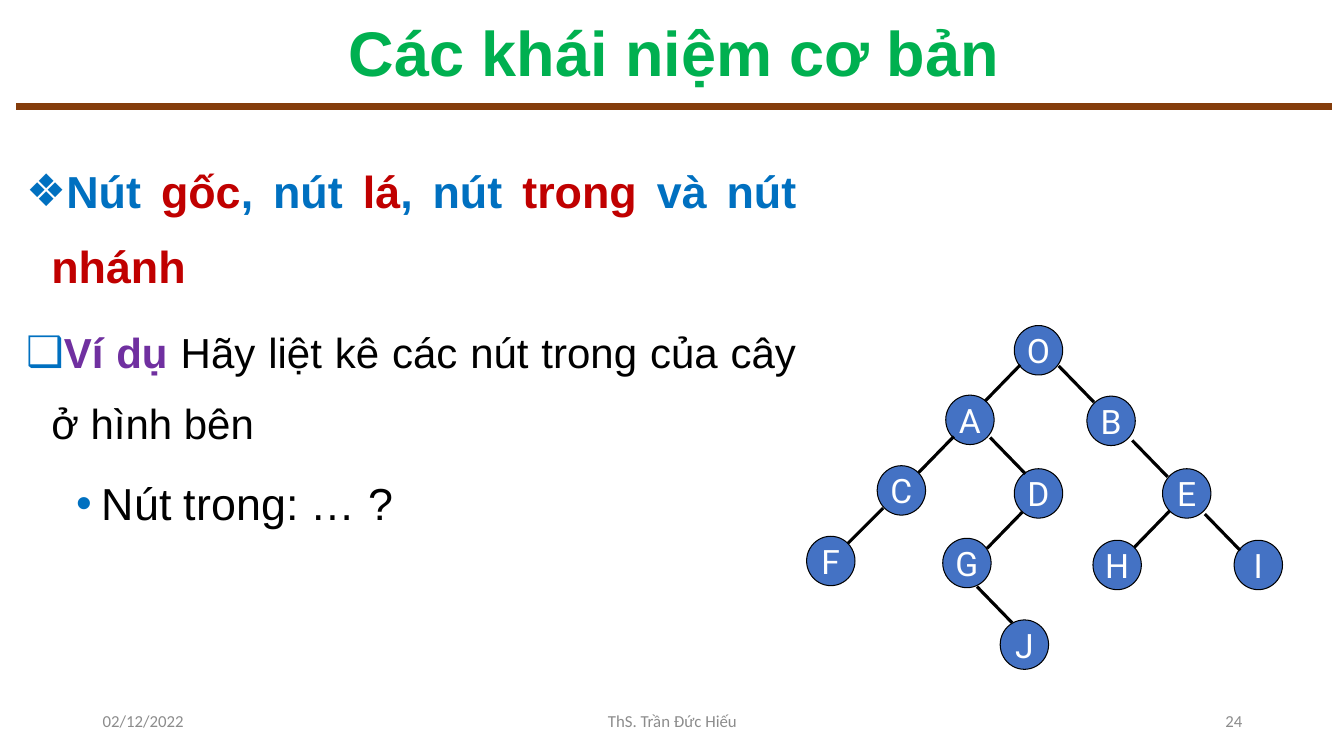
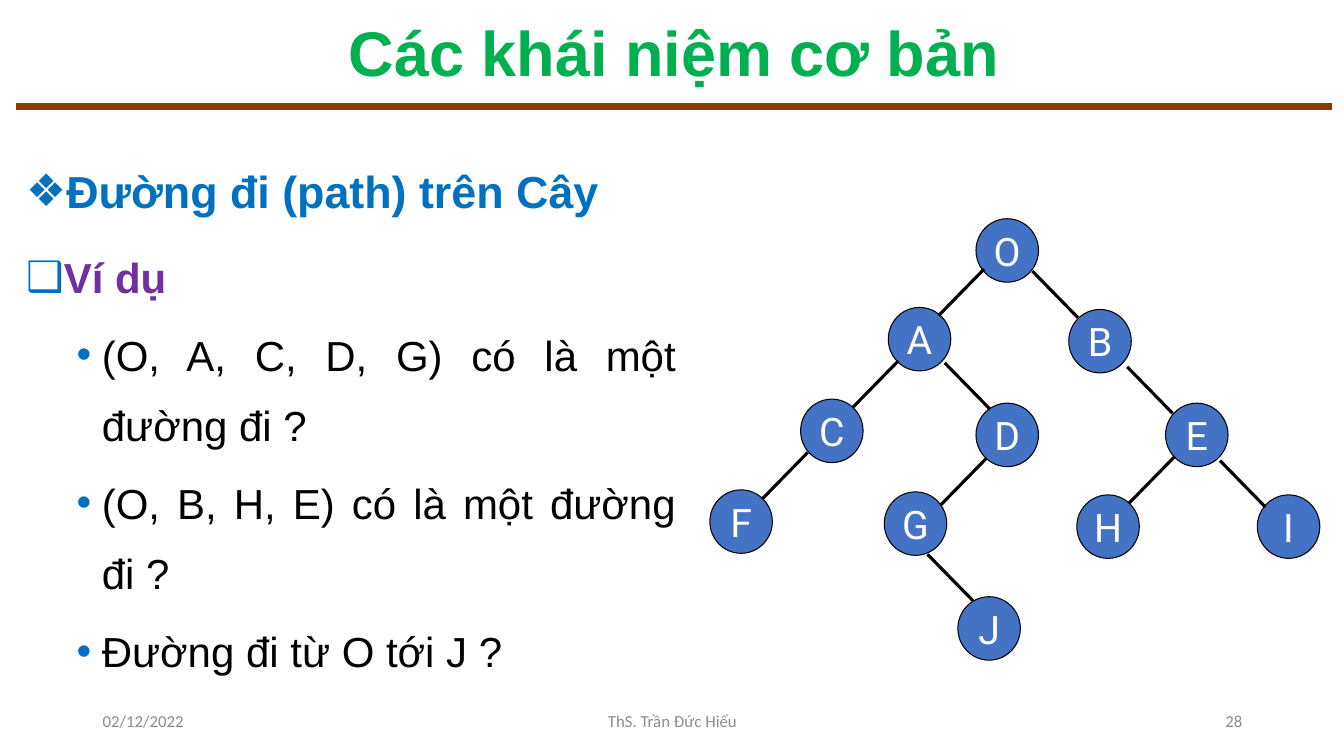
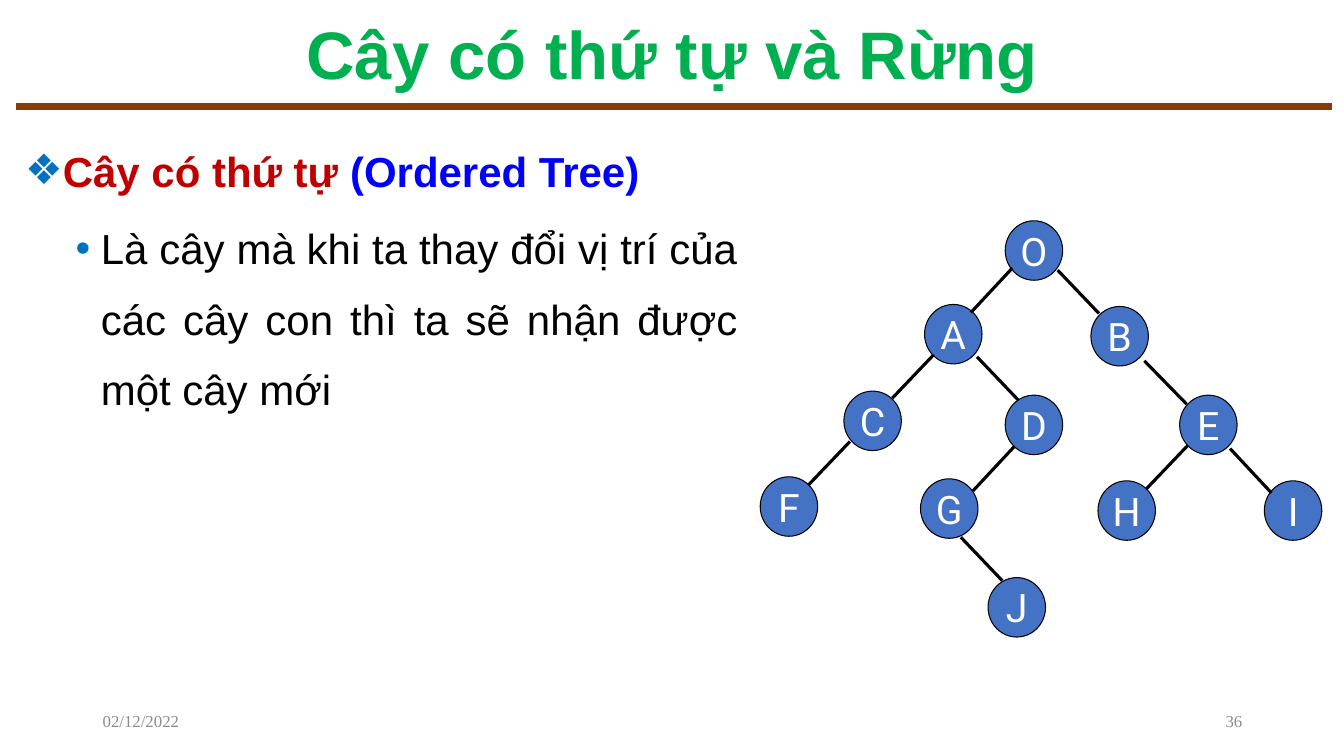
from lxml.etree import SubElement
from pptx import Presentation
from pptx.dml.color import RGBColor
from pptx.enum.shapes import MSO_CONNECTOR, MSO_SHAPE
from pptx.enum.text import MSO_ANCHOR, MSO_AUTO_SIZE, PP_ALIGN
from pptx.oxml.ns import qn
from pptx.util import Pt

PX = 9144
COLOURS = {
    "title": "00B050", "rule": "843C0B", "blue": "0070C0", "red": "C00000",
    "purple": "7030A0", "english": "0000FF", "black": "000000",
    "footer": "8C8C8C", "node": "4472C4", "white": "FFFFFF",
}
BULLETS = {
    "heading": {"char": "❖", "margin": 25, "level": 0, "before": 10},
    "example": {"char": "❑", "margin": 25, "level": 1, "before": 10},
    "item": {"char": "•", "margin": 75, "level": 1, "before": 5},
}
TREE_SIZE = (605, 438)
NODE_SIZE = (62, 63)
EDGE_SIZE = (45, 46)
NODES = {
    "O": (264, 0), "A": (177, 88), "B": (356, 90), "C": (90, 179),
    "D": (264, 183), "E": (452, 183), "F": (0, 269), "G": (173, 271),
    "H": (364, 274), "I": (543, 274), "J": (246, 375),
}
LEFT_EDGES = [(272, 50), (187, 141), (97, 232), (274, 238), (461, 236)]
RIGHT_EDGES = [(320, 52), (414, 147), (506, 240), (216, 333), (233, 143)]


def px(*lengths):
    return [round(length) * PX for length in lengths]


def rgb(name):
    return RGBColor.from_string(COLOURS[name])


def write(paragraph, text, *, size, colour, font="Arial", bold=False, align=None):
    run = paragraph.add_run()
    run.text = text
    run.font.name = font
    run.font.size = Pt(size)
    run.font.bold = bold
    run.font.color.rgb = rgb(colour)
    if align is not None:
        paragraph.alignment = align


class Deck:
    """Holds the shared style and the slide being built."""

    def __init__(self):
        self.presentation = Presentation()
        self.presentation.slide_width, self.presentation.slide_height = px(1333, 750)
        self.layout = self.presentation.slide_layouts[1]
        self.slide = None

    def start(self, title, box=(16, 15, 1305, 81), size=45):
        self.slide = self.presentation.slides.add_slide(self.layout)
        if len(self.presentation.slides) == 1:
            rule = self.line(self.slide.shapes, (16, 106), (1321, 106), "rule", 5)
            self.layout.shapes.element.append(rule.element)
        frame = self.place(self.slide.shapes.title, box, MSO_ANCHOR.MIDDLE)
        heading = frame.paragraphs[0]
        heading.line_spacing = 0.9
        write(heading, title, size=size, colour="title", bold=True, align=PP_ALIGN.CENTER)

    def place(self, holder, box, anchor):
        holder.left, holder.top, holder.width, holder.height = px(*box)
        frame = holder.text_frame
        frame.word_wrap = True
        frame.auto_size = MSO_AUTO_SIZE.NONE
        frame.vertical_anchor = anchor
        return frame

    def body(self, box, points):
        frame = self.place(self.slide.placeholders[1], box, MSO_ANCHOR.TOP)
        for index, (kind, size, runs) in enumerate(points):
            point = frame.add_paragraph() if index else frame.paragraphs[0]
            self.bullet(point, BULLETS[kind])
            point.line_spacing = 1.4
            point.space_before = Pt(BULLETS[kind]["before"] if index else 0)
            for text, colour in runs:
                write(point, text, size=size, colour=colour,
                      bold=colour != "black", align=PP_ALIGN.JUSTIFY)

    def bullet(self, point, style):
        point.level = style["level"]
        properties = point._p.get_or_add_pPr()
        margin, indent = px(style["margin"], -25)
        properties.set("marL", str(margin))
        properties.set("indent", str(indent))
        colour = SubElement(properties, qn("a:buClr"))
        SubElement(colour, qn("a:srgbClr"), val=COLOURS["blue"])
        SubElement(properties, qn("a:buFont"), typeface="Arial")
        SubElement(properties, qn("a:buChar"), char=style["char"])

    def footer(self, number, author=None, font="Calibri"):
        parts = [
            ("02/12/2022", 92, 300, PP_ALIGN.LEFT),
            (author, 442, 450, PP_ALIGN.CENTER),
            (number, 942, 300, PP_ALIGN.RIGHT),
        ]
        for text, left, width, align in parts:
            if text:
                box = (left, 695, width, 40)
                holder = self.slide.shapes.add_textbox(*px(*box))
                frame = self.place(holder, box, MSO_ANCHOR.MIDDLE)
                write(frame.paragraphs[0], text, size=12, colour="footer",
                      font=font, align=align)

    def line(self, shapes, start, end, colour, weight):
        line = shapes.add_connector(MSO_CONNECTOR.STRAIGHT, *px(*start, *end))
        line.line.color.rgb = rgb(colour)
        line.line.width = Pt(weight)
        SubElement(line.element.spPr, qn("a:effectLst"))
        return line

    def node(self, shapes, label, box, size):
        circle = shapes.add_shape(MSO_SHAPE.OVAL, *px(*box))
        circle.shadow.inherit = False
        circle.fill.solid()
        circle.fill.fore_color.rgb = rgb("node")
        circle.line.color.rgb = rgb("black")
        circle.line.width = Pt(0.75)
        frame = circle.text_frame
        frame.word_wrap = False
        frame.vertical_anchor = MSO_ANCHOR.MIDDLE
        write(frame.paragraphs[0], label, size=size, colour="white",
              font="Roboto", align=PP_ALIGN.CENTER)

    def tree(self, left, top, width, height, size=28):
        across, down = width / TREE_SIZE[0], height / TREE_SIZE[1]
        shapes = self.slide.shapes.add_group_shape().shapes

        def spot(x, y):
            return left + x * across, top + y * down

        for label, corner in NODES.items():
            diameters = (NODE_SIZE[0] * across, NODE_SIZE[1] * down)
            self.node(shapes, label, (*spot(*corner), *diameters), size)
        for side, starts in ((-1, LEFT_EDGES), (1, RIGHT_EDGES)):
            for x, y in starts:
                end = spot(x + side * EDGE_SIZE[0], y + EDGE_SIZE[1])
                self.line(shapes, spot(x, y), end, "black", 2.25)


def main():
    deck = Deck()
    author = "ThS. Trần Đức Hiếu"

    deck.start("Các khái niệm cơ bản")
    deck.body((16, 136, 784, 605), [
        ("heading", 32, [
            ("Nút ", "blue"), ("gốc", "red"), (", nút ", "blue"), ("lá", "red"),
            (", nút ", "blue"), ("trong", "red"), (" và nút ", "blue"), ("nhánh", "red"),
        ]),
        ("example", 30, [
            ("Ví dụ ", "purple"),
            ("Hãy liệt kê các nút trong của cây ở hình bên", "black"),
        ]),
        ("item", 32, [("Nút trong: … ?", "black")]),
    ])
    deck.footer("24", author)
    deck.tree(800, 323, 472, 341, size=24)

    deck.start("Các khái niệm cơ bản")
    deck.body((16, 136, 665, 605), [
        ("heading", 32, [("Đường đi (path) trên Cây", "blue")]),
        ("example", 30, [("Ví dụ", "purple")]),
        ("item", 30, [("(O, A, C, D, G) có là một đường đi ?", "black")]),
        ("item", 30, [("(O, B, H, E) có là một đường đi ?", "black")]),
        ("item", 30, [("Đường đi từ O tới J ?", "black")]),
    ])
    deck.footer("28", author)
    deck.tree(704, 217, 605, 438)

    deck.start("Cây có thứ tự và Rừng", box=(92, 17, 1150, 81), size=48)
    deck.body((15, 119, 727, 591), [
        ("heading", 30, [("Cây có thứ tự ", "red"), ("(Ordered Tree)", "english")]),
        ("item", 30, [
            ("Là cây mà khi ta thay đổi vị trí của các cây con "
             "thì ta sẽ nhận được một cây mới", "black"),
        ]),
    ])
    deck.footer("36", font="Times New Roman")
    deck.tree(754, 219, 557, 413)

    deck.presentation.save("out.pptx")


if __name__ == "__main__":
    main()
